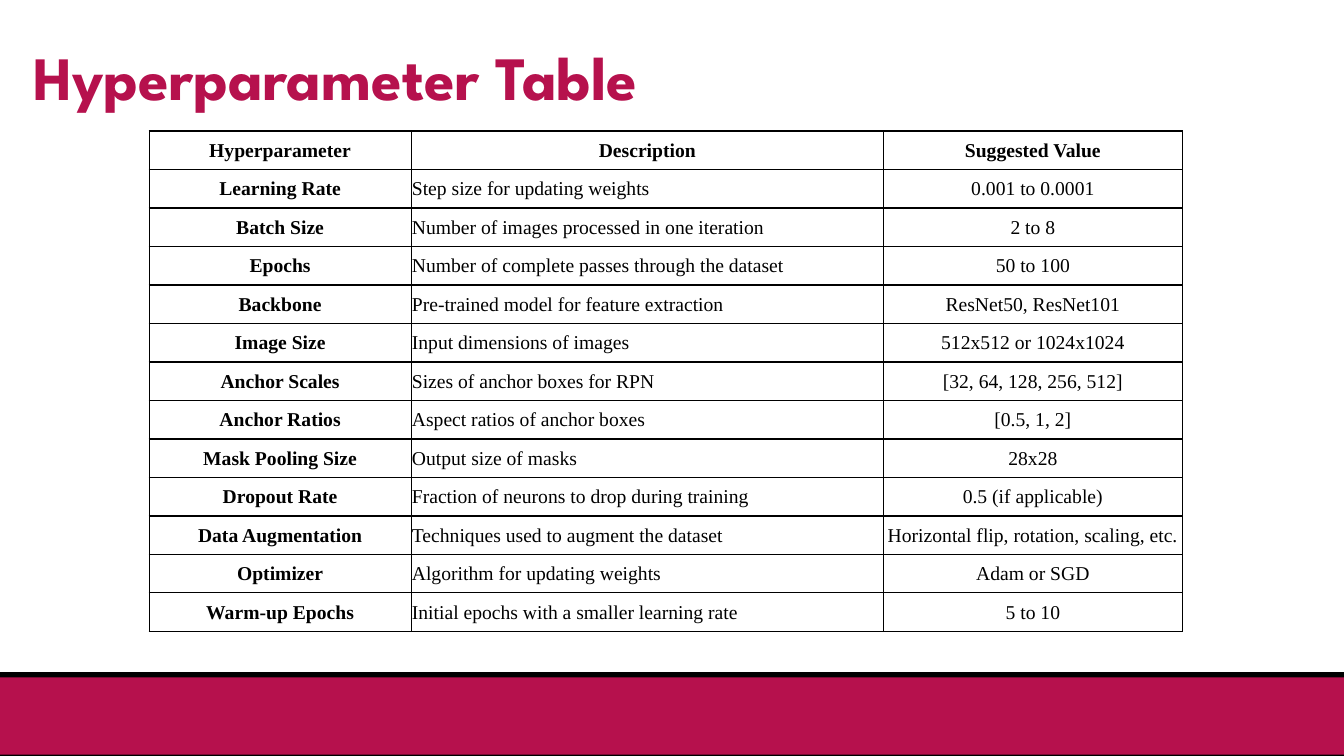
"""Build the hyperparameter table slide."""
import dataclasses

import lxml.etree
import pptx
import pptx.dml.color
import pptx.enum.shapes
import pptx.enum.text
import pptx.oxml.ns
import pptx.util

Cm = pptx.util.Cm
Pt = pptx.util.Pt
RGB = pptx.dml.color.RGBColor
ALIGN = pptx.enum.text.PP_ALIGN
MIDDLE = pptx.enum.text.MSO_ANCHOR.MIDDLE
qn = pptx.oxml.ns.qn


@dataclasses.dataclass(frozen=True)
class Theme:
    accent: str = "B6114D"
    ink: str = "000000"
    paper: str = "FFFFFF"
    title_font: str = "League Spartan"
    table_font: str = "Times New Roman"
    title_size: int = 44
    table_size: int = 14


theme = Theme()

ROWS = [
    ("Hyperparameter", "Description", "Suggested Value"),
    ("Learning Rate", "Step size for updating weights", "0.001 to 0.0001"),
    ("Batch Size", "Number of images processed in one iteration", "2 to 8"),
    ("Epochs", "Number of complete passes through the dataset", "50 to 100"),
    ("Backbone", "Pre-trained model for feature extraction", "ResNet50, ResNet101"),
    ("Image Size", "Input dimensions of images", "512x512 or 1024x1024"),
    ("Anchor Scales", "Sizes of anchor boxes for RPN", "[32, 64, 128, 256, 512]"),
    ("Anchor Ratios", "Aspect ratios of anchor boxes", "[0.5, 1, 2]"),
    ("Mask Pooling Size", "Output size of masks", "28x28"),
    ("Dropout Rate", "Fraction of neurons to drop during training", "0.5 (if applicable)"),
    ("Data Augmentation", "Techniques used to augment the dataset",
     "Horizontal flip, rotation, scaling, etc."),
    ("Optimizer", "Algorithm for updating weights", "Adam or SGD"),
    ("Warm-up Epochs", "Initial epochs with a smaller learning rate", "5 to 10"),
]
COLUMN_WIDTHS = (6.6, 11.91, 7.52)
ROW_HEIGHT = 0.97


def write(tf, text, *, font, size, color, bold=False, align=ALIGN.LEFT, spacing=1.0):
    p = tf.paragraphs[0]
    p.alignment = align
    p.line_spacing = spacing
    r = p.add_run()
    r.text = text
    r.font.name = font
    r.font.size = Pt(size)
    r.font.bold = bold
    r.font.color.rgb = RGB.from_string(color)


def outline(cell, color, width):
    for side in ("a:lnL", "a:lnR", "a:lnT", "a:lnB"):
        ln = lxml.etree.SubElement(cell._tc.get_or_add_tcPr(), qn(side), w=str(Pt(width)))
        fill = lxml.etree.SubElement(ln, qn("a:solidFill"))
        lxml.etree.SubElement(fill, qn("a:srgbClr"), val=color)


prs = pptx.Presentation()
prs.slide_width = Cm(33.87)
prs.slide_height = Cm(19.05)
s = prs.slides.add_slide(prs.slide_layouts.get_by_name("Title Only"))
s.background.fill.solid()
s.background.fill.fore_color.rgb = RGB.from_string(theme.paper)

for top, height, color in ((16.94, 2.13, theme.ink), (17.07, 1.95, theme.accent)):
    sp = s.shapes.add_shape(pptx.enum.shapes.MSO_SHAPE.RECTANGLE,
                            0, Cm(top), prs.slide_width, Cm(height))
    sp.shadow.inherit = False
    sp.fill.solid()
    sp.fill.fore_color.rgb = RGB.from_string(color)
    sp.line.fill.background()

title = s.shapes.title
title.left, title.top, title.width, title.height = Cm(0.58), Cm(0.18), Cm(29.21), Cm(3.68)
title.text_frame.vertical_anchor = MIDDLE
write(title.text_frame, "Hyperparameter Table", font=theme.title_font,
      size=theme.title_size, color=theme.accent, bold=True, spacing=0.9)

table = s.shapes.add_table(len(ROWS), len(COLUMN_WIDTHS), Cm(3.76), Cm(3.3),
                           Cm(sum(COLUMN_WIDTHS)), Cm(ROW_HEIGHT * len(ROWS))).table
table.first_row = False
table.horz_banding = False
for column, width in zip(table.columns, COLUMN_WIDTHS):
    column.width = Cm(width)

for i, texts in enumerate(ROWS):
    table.rows[i].height = Cm(ROW_HEIGHT)
    for j, text in enumerate(texts):
        cell = table.cell(i, j)
        cell.vertical_anchor = MIDDLE
        cell.margin_left = cell.margin_right = cell.margin_top = Cm(0.02)
        cell.margin_bottom = 0
        outline(cell, theme.ink, 1)
        cell.fill.background()
        is_description = i > 0 and j == 1
        write(cell.text_frame, text, font=theme.table_font, size=theme.table_size,
              color=theme.ink, bold=i == 0 or j == 0,
              align=ALIGN.LEFT if is_description else ALIGN.CENTER)

prs.save("out.pptx")
